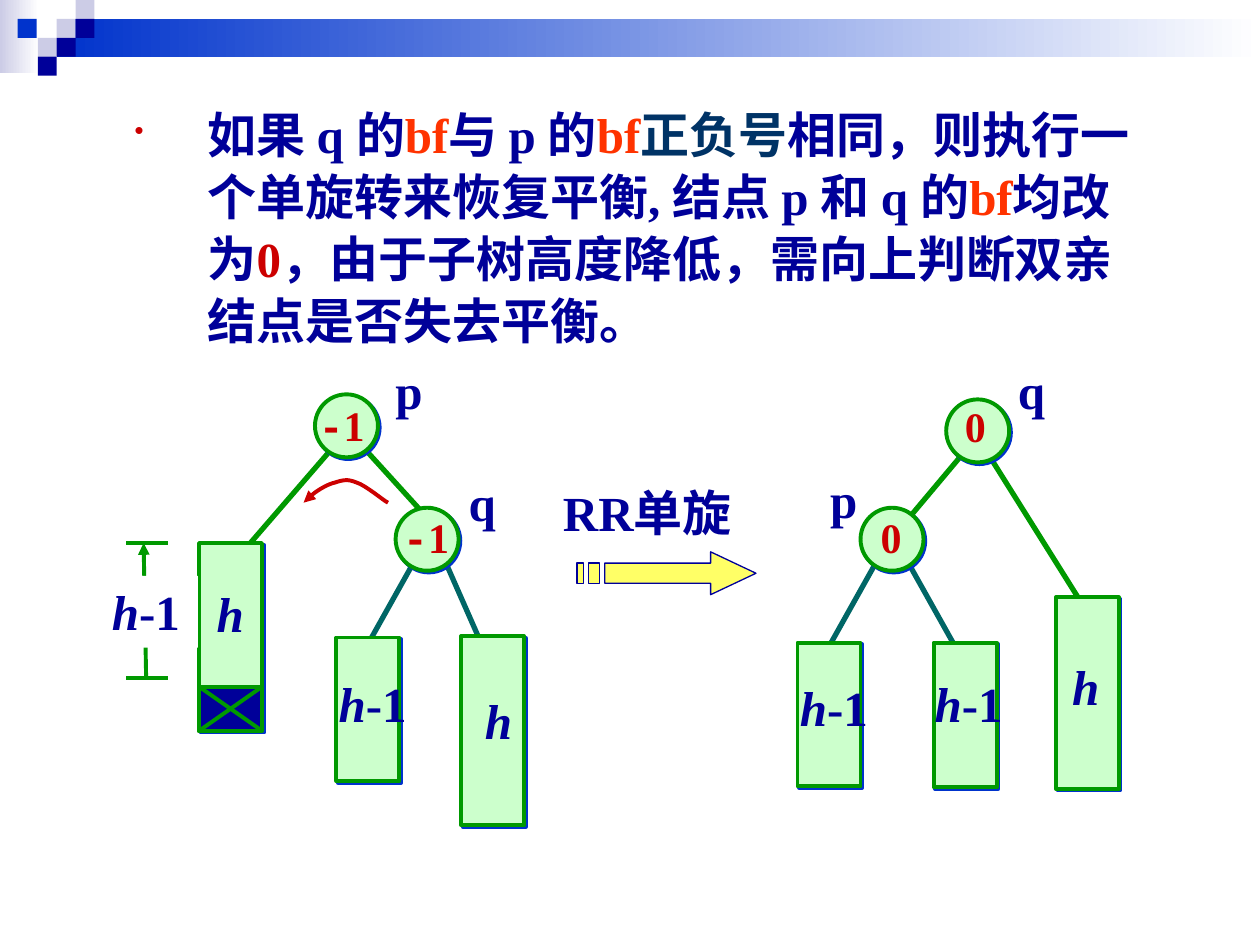
from lxml import etree
from pptx import Presentation, util as u
from pptx.dml.color import RGBColor
from pptx.enum import shapes, text
from pptx.oxml import ns


class Theme:
    navy, blue, lilac = "000099", "0033CC", "CCCCE6"
    green, teal, mint = "009900", "006666", "CCFFCC"
    red, orange, ink = "CC0000", "FF3300", "003366"
    yellow, white = "FFFF66", "FFFFFF"
    serif, mono = "Times New Roman", "Courier New"
    large, small = u.Pt(28), u.Pt(24)
    edge, outline, thin = u.Pt(3), u.Pt(2.25), u.Pt(0.75)


def sub(parent, tag, **attrs):
    return etree.SubElement(parent, ns.qn(tag), attrs)


def write(p, runs):
    for words, fmt in runs:
        r = p.add_run()
        r.text = words
        r._r.get_or_add_rPr().set("lang", "zh-CN")
        fmt = {"name": Theme.serif, "size": Theme.large, "bold": True, "color": Theme.navy, **fmt}
        r.font.color.rgb = RGBColor.from_string(fmt.pop("color"))
        for key, value in fmt.items():
            setattr(r.font, key, value)


prs = Presentation()
prs.slide_width, prs.slide_height = u.Inches(10), u.Inches(7.5)
s = prs.slides.add_slide(prs.slide_layouts[6])
RECT, OVAL = shapes.MSO_SHAPE.RECTANGLE, shapes.MSO_SHAPE.OVAL

for x, y, w, h, color in [(0, 0, 0.31, 0.58, Theme.lilac), (0.45, 0.15, 9.55, 0.3, Theme.blue)]:
    sp = s.shapes.add_shape(RECT, *map(u.Inches, (x, y, w, h)))
    sp.shadow.inherit = False
    sp.line.fill.background()
    sp.fill.gradient()
    sp.fill.gradient_angle = 0
    for stop, stop_color in zip(sp.fill.gradient_stops, (color, Theme.white)):
        stop.color.rgb = RGBColor.from_string(stop_color)

for x, y, color in [
    (0.45, 0.15, Theme.lilac), (0.6, 0, Theme.lilac), (0.6, 0.15, Theme.navy), (0.3, 0.3, Theme.lilac),
    (0.14, 0.15, Theme.blue), (0.45, 0.3, Theme.navy), (0.3, 0.45, Theme.navy),
]:
    sp = s.shapes.add_shape(RECT, *map(u.Inches, (x, y, 0.15, 0.15)))
    sp.shadow.inherit = False
    sp.line.fill.background()
    sp.fill.solid()
    sp.fill.fore_color.rgb = RGBColor.from_string(color)

tf = s.shapes.add_textbox(*map(u.Inches, (0.47, 0.76, 8.83, 2.43))).text_frame
tf.word_wrap = True
p = tf.paragraphs[0]
pPr = p._p.get_or_add_pPr()
pPr.set("marL", str(u.Inches(1.08)))
pPr.set("indent", str(u.Inches(-0.58)))
sub(sub(pPr, "a:buClr"), "a:srgbClr", val=Theme.red)
sub(pPr, "a:buSzPct", val="55000")
sub(pPr, "a:buChar", char="•")
p.line_spacing = 1.05
write(p, [
    ("如果 q 的", {}), ("bf", {"color": Theme.orange}),
    ("与 p 的", {}), ("bf", {"color": Theme.orange}),
    ("正负号", {"color": Theme.ink}),
    ("相同，则执行一个单旋转来恢复平衡, 结点 p 和 q 的", {}),
    ("bf", {"color": Theme.orange}), ("均改为", {}), ("0", {"color": Theme.red}),
    ("，由于子树高度降低，需向上判断双亲结点是否失去平衡。", {}),
])

edges = [
    (3.5, 4.38, 3.83, 5.13, Theme.teal), (3.33, 4.38, 2.91, 5.13, Theme.teal),
    (2.71, 3.36, 3.41, 4.13, Theme.green), (2.67, 3.52, 1.84, 4.48, Theme.green),
    (7, 4.38, 6.58, 5.13, Theme.teal), (7.16, 4.38, 7.58, 5.13, Theme.teal),
    (7.71, 3.52, 7.08, 4.27, Theme.green), (7.79, 3.52, 8.63, 4.86, Theme.green),
]
nodes = [(2.5, 3.13), (3.14, 4.03), (7.51, 3.17), (6.83, 4.03)]
subtrees = [
    (1.58, 4.31, 1.49), (2.67, 5.06, 1.14), (3.66, 5.05, 1.5),
    (6.33, 5.1, 1.14), (7.41, 5.1, 1.15), (8.38, 4.74, 1.52),
]
marks = [
    (2.08, 5.45, 1.58, 5.8), (1.58, 5.45, 2.08, 5.8),
    (1.14, 4.31, 1.16, 5.38), (1, 5.38, 1.33, 5.38), (1, 4.31, 1.33, 4.31),
]
steps = [("line", (*ends, color, Theme.edge)) for *ends, color in edges]
steps += [("shape", (RECT, x, y, h, Theme.mint)) for x, y, h in subtrees]
steps += [("shape", (OVAL, x, y, 0.5, Theme.mint)) for x, y in nodes]
steps += [("shape", (RECT, 1.58, 5.45, 0.35, Theme.navy))]
steps += [("line", (*ends, Theme.green, Theme.outline)) for ends in marks]

for kind, values in steps:
    if kind == "line":
        *ends, color, width = values
        sp = s.shapes.add_connector(shapes.MSO_CONNECTOR.STRAIGHT, *map(u.Inches, ends))
        sub(sp._element.spPr, "a:effectLst")
        sp.line.color.rgb = RGBColor.from_string(color)
        sp.line.width = width
        if tuple(ends) == marks[2]:
            sub(sp.line._get_or_add_ln(), "a:headEnd", type="triangle")
    else:
        preset, x, y, h, color = values
        sp = s.shapes.add_shape(preset, *map(u.Inches, (x, y, 0.5, h)))
        sp.fill.solid()
        sp.fill.fore_color.rgb = RGBColor.from_string(color)
        sp.line.color.rgb = RGBColor.from_string(Theme.green)
        sp.line.width = Theme.outline
        sp.shadow.inherit = False
        effects = sp._element.spPr.find(ns.qn("a:effectLst"))
        shadow = sub(effects, "a:outerShdw", blurRad="0", dist=str(u.Pt(1.4)), dir="2700000")
        sub(shadow, "a:srgbClr", val=Theme.blue)

arrow = [
    [(5.64, 4.38), (5.64, 4.47), (4.8, 4.47), (4.8, 4.63), (5.64, 4.63), (5.64, 4.72), (6, 4.55)],
    [(4.67, 4.47), (4.67, 4.63), (4.76, 4.63), (4.76, 4.47)],
    [(4.58, 4.47), (4.58, 4.63), (4.63, 4.63), (4.63, 4.47)],
]
fb = s.shapes.build_freeform(*map(u.Inches, arrow[0][0]))
for i, outline in enumerate(arrow):
    points = [tuple(map(u.Inches, point)) for point in outline]
    if i:
        fb.move_to(*points[0])
    fb.add_line_segments(points[1:], close=True)
sp = fb.convert_to_shape()
sp.shadow.inherit = False
sp.fill.solid()
sp.fill.fore_color.rgb = RGBColor.from_string(Theme.yellow)
sp.line.color.rgb = RGBColor.from_string(Theme.navy)
sp.line.width = Theme.thin

controls = [
    (2.41, 3.99), (2.44, 3.97), (2.46, 3.94), (2.5, 3.91), (2.54, 3.88), (2.61, 3.84), (2.66, 3.83),
    (2.72, 3.81), (2.76, 3.8), (2.83, 3.83), (2.9, 3.85), (3.04, 3.97), (3.08, 3.99),
]
curve = []
for i in range(0, len(controls) - 1, 3):
    for t in (k / 8 for k in range(1, 9)):
        weights = ((1 - t) ** 3, 3 * t * (1 - t) ** 2, 3 * t * t * (1 - t), t ** 3)
        curve.append(tuple(
            u.Inches(sum(w * point[axis] for w, point in zip(weights, controls[i:i + 4])))
            for axis in (0, 1)
        ))
fb = s.shapes.build_freeform(*map(u.Inches, controls[0]))
fb.add_line_segments(curve, close=False)
sp = fb.convert_to_shape()
sp.shadow.inherit = False
sp.fill.background()
sp.line.color.rgb = RGBColor.from_string(Theme.red)
sp.line.width = Theme.outline
sub(sp.line._get_or_add_ln(), "a:headEnd", type="triangle")

digit = {"size": Theme.small, "color": Theme.red}
minus_one = [("-", {**digit, "name": Theme.mono}), ("1", digit)]
zero = [("0", digit)]
height = [("h", {"italic": True})]
shorter = height + [("-1", {})]
labels = [
    (2.43, 3.12, 0.67, minus_one), (3.1, 4.01, 0.64, minus_one),
    (7.56, 3.13, 0.5, zero), (6.89, 4.01, 0.58, zero),
    (3.04, 2.81, 0.52, [("p", {})]), (3.62, 3.7, 0.52, [("q", {})]),
    (6.49, 3.68, 0.52, [("p", {})]), (7.98, 2.81, 0.52, [("q", {})]),
    (1.62, 4.58, 0.42, height), (3.75, 5.43, 0.42, height), (8.41, 5.16, 0.42, height),
    (2.59, 5.3, 0.83, shorter), (6.25, 5.33, 0.83, shorter), (7.32, 5.3, 0.83, shorter),
    (4.37, 3.78, 1.63, [("RR单旋", {})]), (0.79, 4.57, 0.78, shorter),
]
for x, y, w, runs in labels:
    h = 0.5 if runs in (minus_one, zero) else 0.57
    sp = s.shapes.add_textbox(*map(u.Inches, (x, y, w, h)))
    tf = sp.text_frame
    for key, value in {"word_wrap": w < 1, "vertical_anchor": text.MSO_ANCHOR.TOP}.items():
        setattr(tf, key, value)
    write(tf.paragraphs[0], runs)
sp.fill.solid()
sp.fill.fore_color.rgb = RGBColor.from_string(Theme.white)

prs.save("out.pptx")
